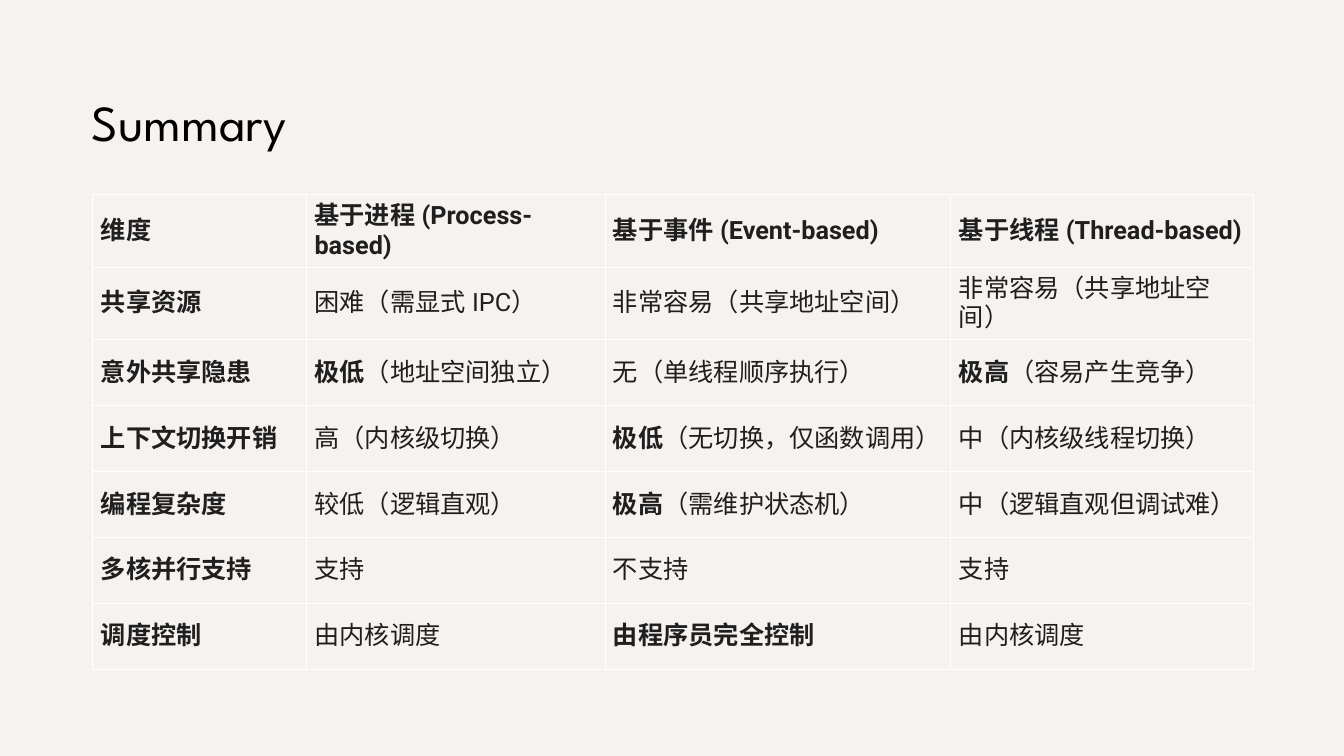
from dataclasses import dataclass

from lxml.etree import SubElement as Sub
from pptx import Presentation
from pptx.dml.color import RGBColor as Rgb
from pptx.enum.text import MSO_ANCHOR as Anchor, MSO_AUTO_SIZE as Fit, PP_ALIGN as Align
from pptx.oxml.ns import qn
from pptx.util import Inches, Pt

COLORS = {"back": "F6F2EF", "title": "000000", "text": "1F1F1F", "line": "FFFFFF"}
WIDTHS = [2.12, 2.96, 3.43, 3]


@dataclass
class Entry:
    bold: str = ""
    plain: str = ""


HEADS = ["维度", "基于进程 (Process-based)", "基于事件 (Event-based)", "基于线程 (Thread-based)"]
ROWS = [
    [Entry(head) for head in HEADS],
    [Entry("共享资源"), Entry(plain="困难（需显式 IPC）"),
     Entry(plain="非常容易（共享地址空间）"), Entry(plain="非常容易（共享地址空间）")],
    [Entry("意外共享隐患"), Entry("极低", "（地址空间独立）"),
     Entry(plain="无（单线程顺序执行）"), Entry("极高", "（容易产生竞争）")],
    [Entry("上下文切换开销"), Entry(plain="高（内核级切换）"),
     Entry("极低", "（无切换，仅函数调用）"), Entry(plain="中（内核级线程切换）")],
    [Entry("编程复杂度"), Entry(plain="较低（逻辑直观）"),
     Entry("极高", "（需维护状态机）"), Entry(plain="中（逻辑直观但调试难）")],
    [Entry("多核并行支持"), Entry(plain="支持"), Entry(plain="不支持"), Entry(plain="支持")],
    [Entry("调度控制"), Entry(plain="由内核调度"), Entry("由程序员完全控制"), Entry(plain="由内核调度")],
]


def style(run, face: str, size: int, color: str, bold: bool = False) -> None:
    font = run.font
    font.name, font.size, font.bold = face, Pt(size), bold
    font.color.rgb = Rgb.from_string(COLORS[color])
    # East Asian face
    Sub(run._r.get_or_add_rPr(), qn("a:ea")).set("typeface", face)


def border(cell) -> None:
    props = cell._tc.get_or_add_tcPr()
    for pos, side in enumerate(("lnL", "lnR", "lnT", "lnB")):
        line = props.makeelement(qn(f"a:{side}"), {"w": str(Pt(0.5))})
        fill = Sub(line, qn("a:solidFill"))
        Sub(fill, qn("a:srgbClr")).set("val", COLORS["line"])
        props.insert(pos, line)


def write(cell, entry: Entry) -> None:
    cell.fill.background()
    border(cell)
    cell.vertical_anchor = Anchor.MIDDLE
    cell.margin_left = cell.margin_right = Inches(0.08)
    cell.margin_top = cell.margin_bottom = Inches(0.06)
    para = cell.text_frame.paragraphs[0]
    for text, bold in ((entry.bold, True), (entry.plain, False)):
        if text:
            run = para.add_run()
            run.text = text
            style(run, "Roboto", 18, "text", bold)


def main() -> None:
    deck = Presentation()
    deck.slide_width, deck.slide_height = Inches(13.33), Inches(7.5)
    slide = deck.slides.add_slide(deck.slide_layouts[5])
    back = slide.background.fill
    back.solid()
    back.fore_color.rgb = Rgb.from_string(COLORS["back"])

    # Title
    title = slide.shapes.title
    title.left, title.top = Inches(0.81), Inches(0.85)
    title.width, title.height = Inches(2.47), Inches(0.71)
    frame = title.text_frame
    frame.text = "Summary"
    frame.word_wrap = False
    frame.auto_size = Fit.SHAPE_TO_FIT_TEXT
    frame.vertical_anchor = Anchor.TOP
    para = frame.paragraphs[0]
    para.alignment = Align.LEFT
    style(para.runs[0], "League Spartan", 36, "title")

    # Comparison table
    table = slide.shapes.add_table(len(ROWS), len(WIDTHS), Inches(0.92), Inches(1.93),
                                   Inches(sum(WIDTHS)), Inches(4.58)).table
    table.first_row = table.horz_banding = False
    for col, width in zip(table.columns, WIDTHS):
        col.width = Inches(width)
    for row, entries in zip(table.rows, ROWS):
        for cell, entry in zip(row.cells, entries):
            write(cell, entry)

    deck.save("out.pptx")


if __name__ == "__main__":
    main()
